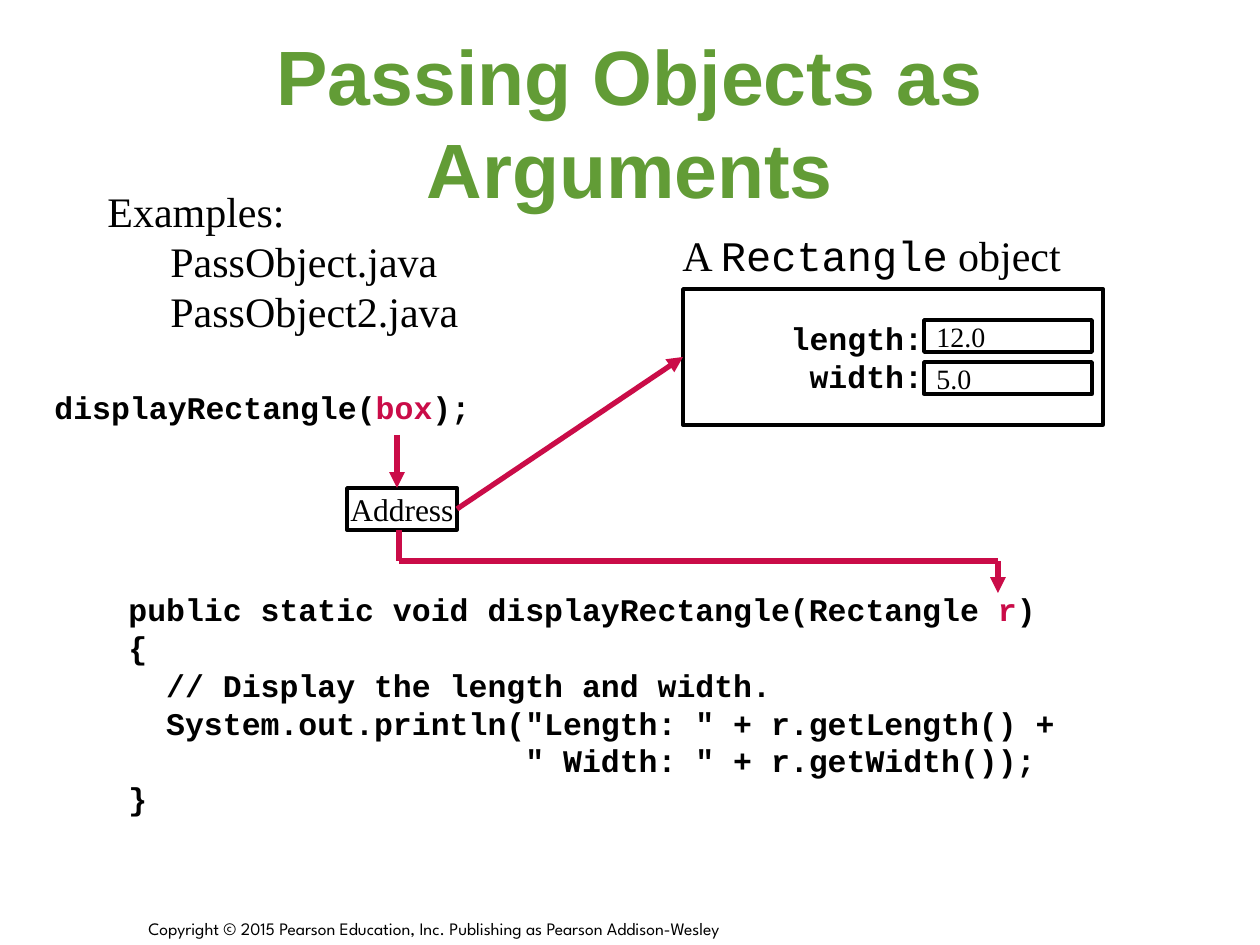
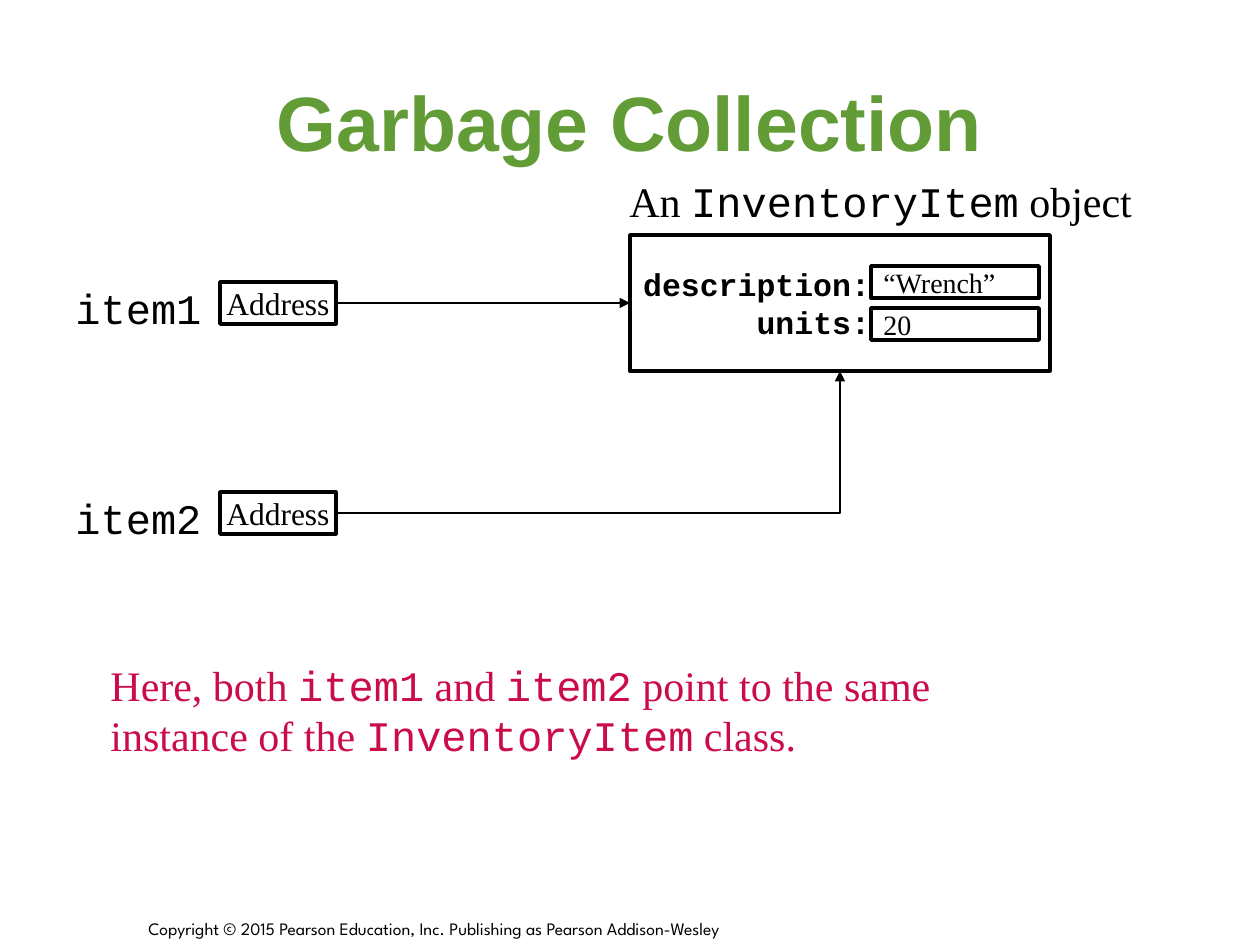
from dataclasses import dataclass, replace
from itertools import pairwise

from lxml.etree import SubElement
from pptx import Presentation
from pptx.dml.color import RGBColor
from pptx.enum.shapes import MSO_CONNECTOR as Connector, MSO_SHAPE as Shape
from pptx.enum.text import MSO_ANCHOR as Anchor, PP_ALIGN as Align
from pptx.oxml.ns import qn
from pptx.util import Emu, Pt

EMU_PER_PX = 914400 / 126
COLORS = {"ink": "000000", "paper": "FFFFFF", "title": "629C36", "accent": "CA0C48"}


@dataclass(frozen=True)
class Style:
    font: str
    size: int
    color: str = "ink"
    bold: bool = False


TITLE = Style("Arial", 44, "title", True)
FOOTER = Style("League Spartan", 10)
BODY = Style("Times New Roman", 24)
NAME = Style("Courier New", 24)
CODE = Style("Courier New", 18, bold=True)
CODE_ACCENT = replace(CODE, color="accent")
ADDRESS = Style("Times New Roman", 18)
VALUE = Style("Times New Roman", 16)


def px(length):
    return Emu(round(length * EMU_PER_PX))


def rgb(name):
    return RGBColor.from_string(COLORS[name])


def write(shape, paragraphs, align=Align.LEFT, anchor=Anchor.TOP):
    """Fill a shape with paragraphs, each a list of (text, style) runs."""
    frame = shape.text_frame
    frame.word_wrap = True
    frame.vertical_anchor = anchor
    for index, runs in enumerate(paragraphs):
        paragraph = frame.add_paragraph() if index else frame.paragraphs[0]
        paragraph.alignment = align
        for text, style in runs:
            run = paragraph.add_run()
            run.text = text
            run.font.name = style.font
            run.font.size = Pt(style.size)
            run.font.bold = style.bold
            run.font.color.rgb = rgb(style.color)
    return frame


def add_text(slide, box, paragraphs, **layout):
    return write(slide.shapes.add_textbox(*map(px, box)), paragraphs, **layout)


def add_box(slide, box, paragraphs, **layout):
    shape = slide.shapes.add_shape(Shape.RECTANGLE, *map(px, box))
    shape.shadow.inherit = False
    shape.fill.solid()
    shape.fill.fore_color.rgb = rgb("paper")
    shape.line.color.rgb = rgb("ink")
    shape.line.width = Pt(2)
    return write(shape, paragraphs, anchor=Anchor.MIDDLE, **layout)


def add_line(slide, start, end, color="ink", width=0.75, arrow=True, bent=False):
    kind = Connector.ELBOW if bent else Connector.STRAIGHT
    line = slide.shapes.add_connector(kind, *map(px, (*start, *end)))
    line.line.color.rgb = rgb(color)
    line.line.width = Pt(width)
    properties = line._element.spPr
    if bent:
        properties.find(qn("a:prstGeom")).set("prst", "bentConnector2")
    if arrow:
        SubElement(properties.find(qn("a:ln")), qn("a:tailEnd"), type="triangle")
    SubElement(properties, qn("a:effectLst"))


def add_base_slide(presentation, title):
    """Add a blank slide with the shared footer and title."""
    slide = presentation.slides.add_slide(presentation.slide_layouts[6])
    notice = "Copyright © 2015 Pearson Education, Inc. Publishing as Pearson Addison-Wesley"
    add_text(slide, (136, 903, 902, 42), [[(notice, FOOTER)]], anchor=Anchor.BOTTOM)
    add_text(slide, (63, 42, 1134, 158), [[(title, TITLE)]],
             align=Align.CENTER, anchor=Anchor.MIDDLE)
    return slide


def add_object(slide, left, top, article, class_name, fields):
    """Draw an object's caption, frame, field labels and value boxes."""
    caption = [(article, BODY), (class_name, NAME), (" object", BODY)]
    add_text(slide, (left - 13, top - 66, 560, 63), [caption])
    labels = [[(f"{label}:", CODE)] for label in fields]
    frame = add_box(slide, (left, top, 420, 136), labels, align=Align.RIGHT)
    frame.margin_left, frame.margin_right = 0, px(180)
    for row, value in enumerate(fields.values()):
        add_box(slide, (left + 241, top + 31 + 42 * row, 168, 32), [[(value, VALUE)]])


def add_address(slide, left, top, width):
    frame = add_box(slide, (left, top, width, 42), [[("Address", ADDRESS)]],
                    align=Align.CENTER)
    frame.margin_left = frame.margin_right = 0


def add_examples(slide, left, top):
    frame = add_text(slide, (left, top, 420, 164), [[("Examples:", BODY)]])
    paragraph = frame.paragraphs[0]
    indent = px(63)
    properties = paragraph._p.get_or_add_pPr()
    properties.set("marL", str(indent))
    properties.set("indent", str(-indent))
    for name in ("PassObject.java", "PassObject2.java"):
        paragraph.add_line_break()
        run = paragraph.add_run()
        run.text = name
        run.font.name = BODY.font
        run.font.size = Pt(BODY.size)
        run.font.color.rgb = rgb(BODY.color)


def add_method(slide, left, top):
    body = [
        "{",
        "  // Display the length and width.",
        '  System.out.println("Length: " + r.getLength() +',
        " " * 21 + '" Width: " + r.getWidth());',
        "}",
    ]
    signature = [("public static void displayRectangle(Rectangle ", CODE),
                 ("r", CODE_ACCENT), (")", CODE)]
    add_text(slide, (left, top, 1000, 240),
             [signature] + [[(line, CODE)] for line in body])


def add_passing_slide(presentation):
    slide = add_base_slide(presentation, "Passing Objects as Arguments")
    add_examples(slide, 95, 179)
    call = [("displayRectangle(", CODE), ("box", CODE_ACCENT), (");", CODE)]
    add_text(slide, (42, 382, 480, 50), [call])
    add_method(slide, 116, 584)
    add_object(slide, 683, 289, "A ", "Rectangle", {"length": "12.0", "width": "5.0"})
    add_address(slide, 347, 488, 110)

    red = {"color": "accent", "width": 3}
    add_line(slide, (397, 435), (397, 488), **red)
    add_line(slide, (457, 509), (683, 357), **red)
    route = [(399, 530), (399, 561), (998, 561), (998, 593)]
    for start, end in pairwise(route):
        add_line(slide, start, end, arrow=end == route[-1], **red)


def add_variable(slide, name, top):
    """Draw a variable name with its address box."""
    add_text(slide, (63, top - 6, 155, 63), [[(name, NAME)]])
    add_address(slide, 220, top, 116)


def add_garbage_slide(presentation):
    slide = add_base_slide(presentation, "Garbage Collection")
    add_object(slide, 630, 235, "An ", "InventoryItem",
               {"description": "“Wrench”", "units": "20"})
    for name, top in (("item1", 282), ("item2", 492)):
        add_variable(slide, name, top)
    add_line(slide, (336, 303), (630, 303))
    add_line(slide, (336, 513), (840, 371), bent=True)

    text = replace(BODY, color="accent")
    name = replace(NAME, color="accent")
    add_text(slide, (98, 653, 900, 113), [
        [("Here, both ", text), ("item1", name), (" and ", text),
         ("item2", name), (" point to the same", text)],
        [("instance of the ", text), ("InventoryItem", name), (" class.", text)],
    ])


def main():
    presentation = Presentation()
    presentation.slide_width, presentation.slide_height = px(1260), px(945)
    add_passing_slide(presentation)
    add_garbage_slide(presentation)
    presentation.save("out.pptx")


if __name__ == "__main__":
    main()
